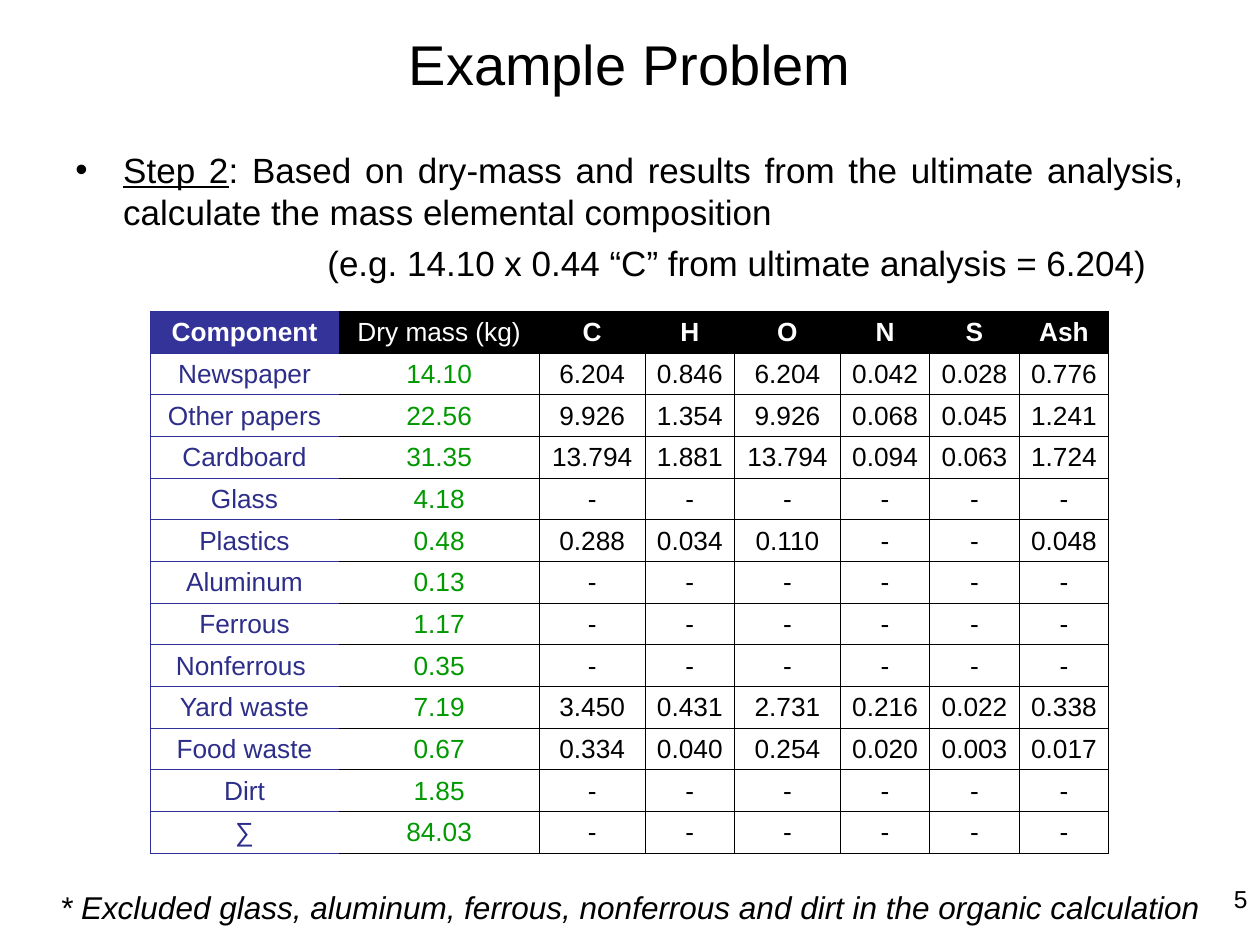
from lxml.etree import SubElement
from pptx import Presentation
from pptx.dml.color import RGBColor
from pptx.enum.text import MSO_ANCHOR as ANCHOR, PP_ALIGN as ALIGN
from pptx.oxml.ns import qn
from pptx.util import Inches, Pt

BLACK = RGBColor(0x00, 0x00, 0x00)
WHITE = RGBColor(0xFF, 0xFF, 0xFF)
HEADER_BLUE = RGBColor(0x33, 0x33, 0x99)
BORDER_BLUE = RGBColor(0x2F, 0x2F, 0x98)
NAME_BLUE = RGBColor(0x2D, 0x2D, 0x8A)
MASS_GREEN = RGBColor(0x00, 0x99, 0x00)

COLUMN_WIDTHS = [1.5, 1.59, 0.84, 0.71, 0.84, 0.71, 0.71, 0.71]
HEADERS = ["Component", "Dry mass (kg)", "C", "H", "O", "N", "S", "Ash"]
NO_ELEMENTS = ["-"] * 6
COMPONENTS = [
    ["Newspaper", "14.10", "6.204", "0.846", "6.204", "0.042", "0.028", "0.776"],
    ["Other papers", "22.56", "9.926", "1.354", "9.926", "0.068", "0.045", "1.241"],
    ["Cardboard", "31.35", "13.794", "1.881", "13.794", "0.094", "0.063", "1.724"],
    ["Glass", "4.18", *NO_ELEMENTS],
    ["Plastics", "0.48", "0.288", "0.034", "0.110", "-", "-", "0.048"],
    ["Aluminum", "0.13", *NO_ELEMENTS],
    ["Ferrous", "1.17", *NO_ELEMENTS],
    ["Nonferrous ", "0.35", *NO_ELEMENTS],
    ["Yard waste", "7.19", "3.450", "0.431", "2.731", "0.216", "0.022", "0.338"],
    ["Food waste", "0.67", "0.334", "0.040", "0.254", "0.020", "0.003", "0.017"],
    ["Dirt", "1.85", *NO_ELEMENTS],
    ["∑", "84.03", *NO_ELEMENTS],
]


def add_text(p, text, size, color=BLACK, align=ALIGN.CENTER,
             bold=False, italic=False, underline=False):
    p.alignment = align
    r = p.add_run()
    r.text = text
    font = r.font
    font.name, font.size, font.color.rgb = "Arial", Pt(size), color
    font.bold, font.italic, font.underline = bold, italic, underline


def add_box(s, left, top, width, height):
    tf = s.shapes.add_textbox(
        Inches(left), Inches(top), Inches(width), Inches(height)).text_frame
    tf.word_wrap = True
    return tf


def set_indent(p, left, first=0, bullet=None):
    pPr = p._p.get_or_add_pPr()
    pPr.set("marL", str(Inches(left)))
    pPr.set("indent", str(Inches(first)))
    if bullet:
        SubElement(pPr, qn("a:buFont"), typeface="Arial")
        SubElement(pPr, qn("a:buChar"), char=bullet)


def add_title(s, left, top, width, height):
    title = s.shapes.title
    title.left, title.top = Inches(left), Inches(top)
    title.width, title.height = Inches(width), Inches(height)
    tf = title.text_frame
    tf.vertical_anchor = ANCHOR.MIDDLE
    add_text(tf.paragraphs[0], "Example Problem", 32)


def add_step(s, left, top, width, height):
    tf = add_box(s, left, top, width, height)
    p = tf.paragraphs[0]
    set_indent(p, 0.38, -0.38, "•")
    add_text(p, "Step 2", 20, align=ALIGN.JUSTIFY, underline=True)
    add_text(p, ": Based on dry-mass and results from the ultimate analysis, "
             "calculate the mass elemental composition", 20, align=ALIGN.JUSTIFY)
    p = tf.add_paragraph()
    set_indent(p, 2)
    p.space_before = Pt(5)
    add_text(p, "(e.g. 14.10 x 0.44 “C” from ultimate analysis = 6.204)", 20,
             align=ALIGN.JUSTIFY)


def set_borders(cell, col):
    tcPr = cell._tc.get_or_add_tcPr()
    color = BORDER_BLUE if col == 0 else BLACK
    open_side = {0: "R", 1: "L"}.get(col)
    for side in "LRTB":
        ln = SubElement(tcPr, qn(f"a:ln{side}"), w=str(Pt(0.5)))
        if side == open_side:
            SubElement(ln, qn("a:noFill"))
        else:
            fill = SubElement(ln, qn("a:solidFill"))
            SubElement(fill, qn("a:srgbClr"), val=str(color))


def format_cell(cell, text, row, col):
    cell.margin_left = cell.margin_right = cell.margin_top = Inches(0.01)
    cell.margin_bottom = 0
    cell.vertical_anchor = ANCHOR.MIDDLE
    set_borders(cell, col)
    if row == 0:
        cell.fill.solid()
        cell.fill.fore_color.rgb = HEADER_BLUE if col == 0 else BLACK
        color = WHITE
    else:
        cell.fill.background()
        color = {0: NAME_BLUE, 1: MASS_GREEN}.get(col, BLACK)
    add_text(cell.text_frame.paragraphs[0], text, 15, color,
             bold=row == 0 and col != 1)


def add_composition_table(s, left, top, width, height):
    rows = [HEADERS, *COMPONENTS]
    table = s.shapes.add_table(
        len(rows), len(HEADERS), Inches(left), Inches(top),
        Inches(width), Inches(height)).table
    table.first_row = table.horz_banding = False
    for column, column_width in zip(table.columns, COLUMN_WIDTHS):
        column.width = Inches(column_width)
    for i, values in enumerate(rows):
        for j, text in enumerate(values):
            format_cell(table.cell(i, j), text, i, j)


def add_page_number(s, left, top, width, height):
    tf = add_box(s, left, top, width, height)
    add_text(tf.paragraphs[0], "5", 14, align=ALIGN.RIGHT)


def add_footnote(s, left, top, width, height):
    tf = add_box(s, left, top, width, height)
    add_text(tf.paragraphs[0], "* Excluded glass, aluminum, ferrous, nonferrous "
             "and dirt in the organic calculation", 18, italic=True)


def main():
    prs = Presentation()
    prs.slide_width, prs.slide_height = Inches(10), Inches(7.5)
    s = prs.slides.add_slide(prs.slide_layouts[5])
    add_title(s, 0.5, 0.09, 9, 0.82)
    add_step(s, 0.5, 1.13, 9, 1.13)
    add_page_number(s, 7.67, 6.97, 2.33, 0.52)
    add_footnote(s, 0, 7, 10, 0.4)
    add_composition_table(s, 1.19, 2.47, 7.62, 4.3)
    prs.save("out.pptx")


if __name__ == "__main__":
    main()
